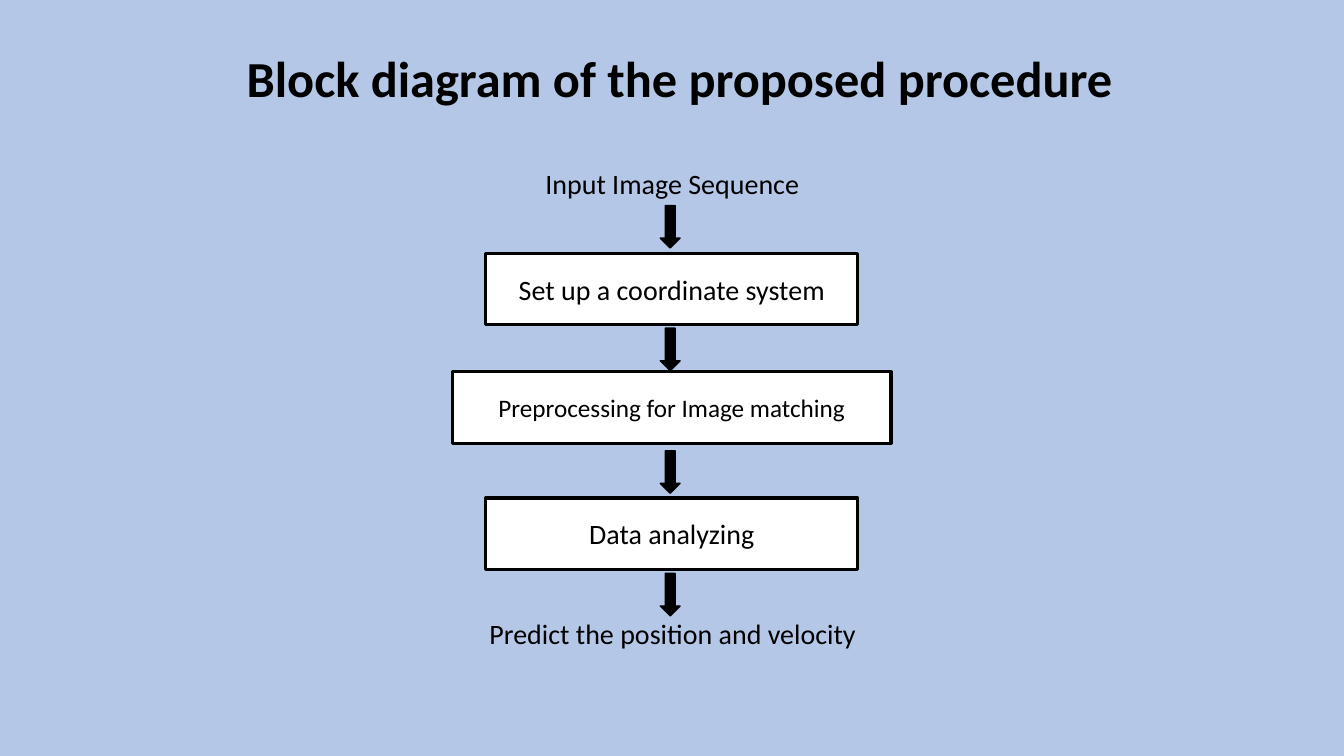
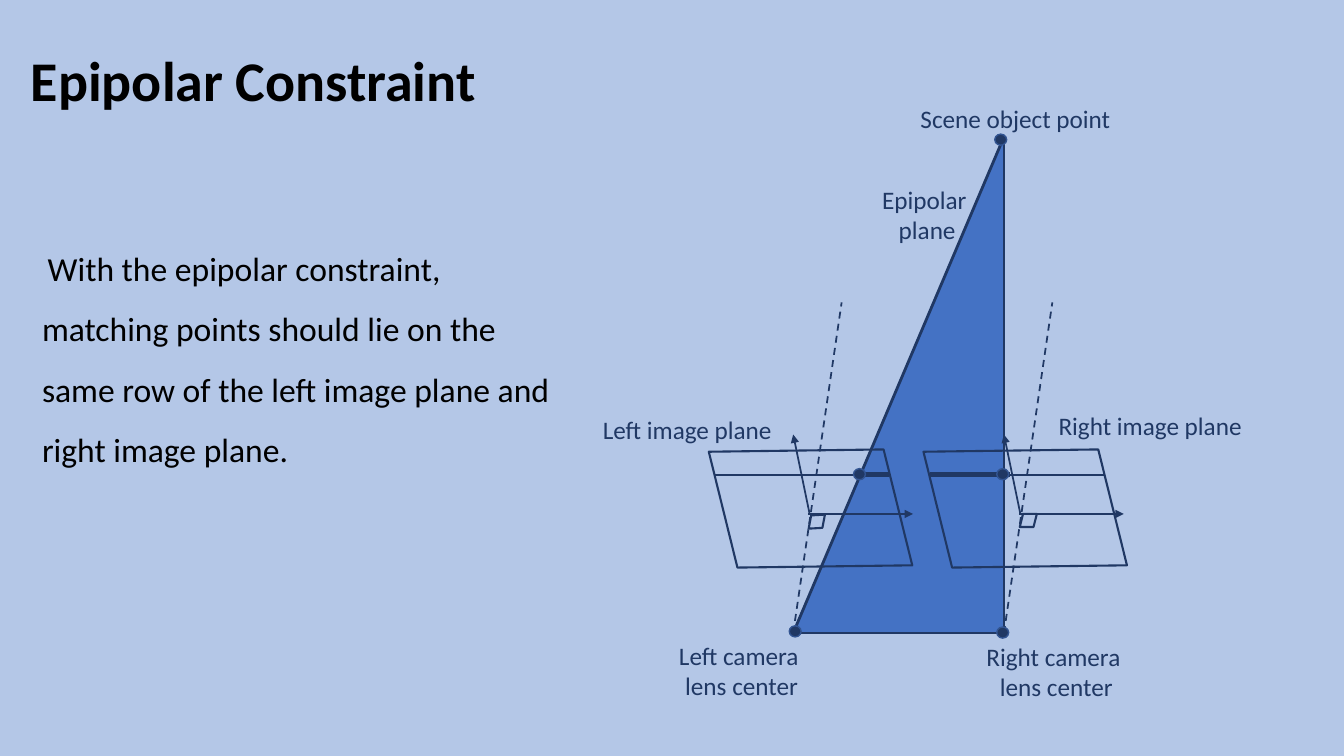
import pptx
import pptx.util
import pptx.dml.color
import pptx.enum.dml
import pptx.enum.shapes
import pptx.enum.text
import pptx.oxml

Cm = pptx.util.Cm
Pt = pptx.util.Pt
RGBColor = pptx.dml.color.RGBColor
KIND = pptx.enum.shapes.MSO_SHAPE
ALIGN = pptx.enum.text.PP_ALIGN
ANCHOR = pptx.enum.text.MSO_ANCHOR

SKY = RGBColor(0xB4, 0xC7, 0xE7)
BLACK = RGBColor(0, 0, 0)
WHITE = RGBColor(255, 255, 255)
NAVY = RGBColor(0x20, 0x38, 0x64)
BLUE = RGBColor(0x44, 0x72, 0xC4)
EDGE = RGBColor(0x32, 0x54, 0x91)
FONT = "Calibri"
NS = "http://schemas.openxmlformats.org/drawingml/2006/main"


def write(shape, lines, color, align=ALIGN.CENTER, bold=False, space=None, anchor=ANCHOR.TOP):
    frame = shape.text_frame
    frame.word_wrap = True
    frame.vertical_anchor = anchor
    for i, runs in enumerate(lines):
        para = frame.paragraphs[0] if i == 0 else frame.add_paragraph()
        para.alignment = align
        para.line_spacing = space
        for words, size in runs:
            run = para.add_run()
            run.text = words
            run.font.name = FONT
            run.font.size = Pt(size)
            run.font.bold = bold
            run.font.color.rgb = color


def draw(slide, kind, place, fill, edge, width):
    shape = slide.shapes.add_shape(kind, *map(Cm, place))
    shape.shadow.inherit = False
    if fill is None:
        shape.fill.background()
    else:
        shape.fill.solid()
        shape.fill.fore_color.rgb = fill
    shape.line.color.rgb = edge
    shape.line.width = Pt(width)
    return shape


deck = pptx.Presentation()
deck.slide_width = Cm(33.87)
deck.slide_height = Cm(19.05)

titles = [
    ("Block diagram of the proposed procedure", 36, (2.53, 0.94, 29.21, 2.21), 0.9),
    ("Epipolar Constraint", 40, (0.38, 1.02, 12.01, 1.96), None),
]
slides = []
for words, size, place, space in titles:
    slide = deck.slides.add_slide(deck.slide_layouts[6])
    slide.background.fill.solid()
    slide.background.fill.fore_color.rgb = SKY
    box = slide.shapes.add_textbox(*map(Cm, place))
    write(box, [[(words, size)]], BLACK, bold=True, space=space, anchor=ANCHOR.MIDDLE)
    slides.append(slide)
flow, scene = slides

for words, place in [
    ("Input Image Sequence", (13.11, 4.06, 7.67, 1.12)),
    ("Predict the position and velocity", (11.81, 15.42, 10.29, 1.12)),
]:
    write(flow.shapes.add_textbox(*map(Cm, place)), [[(words, 20)]], BLACK)

for words, size, top, wide in [
    ("Set up a coordinate system", 20, 6.38, 9.37),
    ("Preprocessing for Image matching", 18, 9.37, 11.05),
    ("Data analyzing", 20, 12.55, 9.37),
]:
    step = draw(flow, KIND.RECTANGLE, (16.93 - wide / 2, top, wide, 1.8), WHITE, BLACK, 2.25)
    write(step, [[(words, size)]], BLACK, anchor=ANCHOR.MIDDLE)

for i in range(4):
    draw(flow, KIND.DOWN_ARROW, (16.64, 5.18 + 3.09 * i, 0.5, 1.07), BLACK, BLACK, 1)

left, right, top, base = 19.99, 25.3, 3.45, 15.95
gap = right - left
shift = 5.41
row = 11.96

plane = draw(scene, KIND.ISOSCELES_TRIANGLE, (left, top, gap, base - top), BLUE, EDGE, 1)
plane.adjustments[0] = 1

lines = [
    (left, base, right, base, 2, None),
    (left, base, right, top, 2, None),
    (right, base, right, top, 2, None),
    (23.44, row, 25.45, row, 3.5, None),
    (21.67, row, 22.4, row, 3.5, None),
]
for i in range(2):
    x = gap * i
    far = shift * i
    image = draw(scene, KIND.PARALLELOGRAM, (18.42 + far, 10.67, 4.01, 4.29), None, NAVY, 1.5)
    image.rotation = 76.1
    lines += [
        (left + x, base, 21.21 + x, 7.62, 1.25, "dash"),
        (20.4 + x, 12.93, left + x, 10.95, 1.25, "arrow"),
        (20.37 + x, 12.95, 23.01 + x, 12.95, 1.25, "arrow"),
        (18.03 + far, row, 22.43 + far, row, 1.25, None),
    ]

for x, y, endx, endy, width, style in lines:
    line = scene.shapes.add_connector(
        pptx.enum.shapes.MSO_CONNECTOR.STRAIGHT, Cm(x), Cm(y), Cm(endx), Cm(endy))
    line.line.color.rgb = NAVY
    line.line.width = Pt(width)
    if style == "dash":
        line.line.dash_style = pptx.enum.dml.MSO_LINE.DASH
    if style == "arrow":
        tip = pptx.oxml.parse_xml(f'<a:tailEnd xmlns:a="{NS}" type="triangle"/>')
        line.line._get_or_add_ln().append(tip)
    line._element.spPr.append(pptx.oxml.parse_xml(f'<a:effectLst xmlns:a="{NS}"/>'))

for x, y in [(19.89, 15.77), (25.12, 15.8), (25.12, 11.81), (21.51, 11.81), (25.07, 3.38)]:
    draw(scene, KIND.OVAL, (x, y, 0.3, 0.28), NAVY, EDGE, 1)

for x, y, turn in [(20.37, 12.98, 356.7), (25.7, 12.95, 0)]:
    angle = draw(scene, KIND.PARALLELOGRAM, (x, y, 0.43, 0.33), None, NAVY, 1.5)
    angle.rotation = turn

for words, place in [
    (["Scene object point"], (22.63, 2.49, 5.92, 1.02)),
    (["Left image plane"], (14.78, 10.31, 5.08, 1.02)),
    (["Right image plane"], (26.19, 10.21, 5.59, 1.02)),
    (["Left camera ", "lens center"], (16.15, 16, 5.08, 1.8)),
    (["Right camera ", "lens center"], (24.08, 16.03, 5.08, 1.8)),
    (["Epipolar", " plane"], (21.72, 4.52, 3.15, 1.8)),
]:
    label = scene.shapes.add_textbox(*map(Cm, place))
    write(label, [[(part, 18)] for part in words], NAVY)

body = scene.shapes.add_textbox(Cm(0.81), Cm(5.61), Cm(13.69), Cm(6.4))
write(body, [[
    (" ", 18),
    ("With the epipolar constraint, matching points should lie on the same row "
     "of the left image plane and right image plane.", 24),
]], BLACK, align=ALIGN.LEFT, space=1.5)

deck.save("out.pptx")
